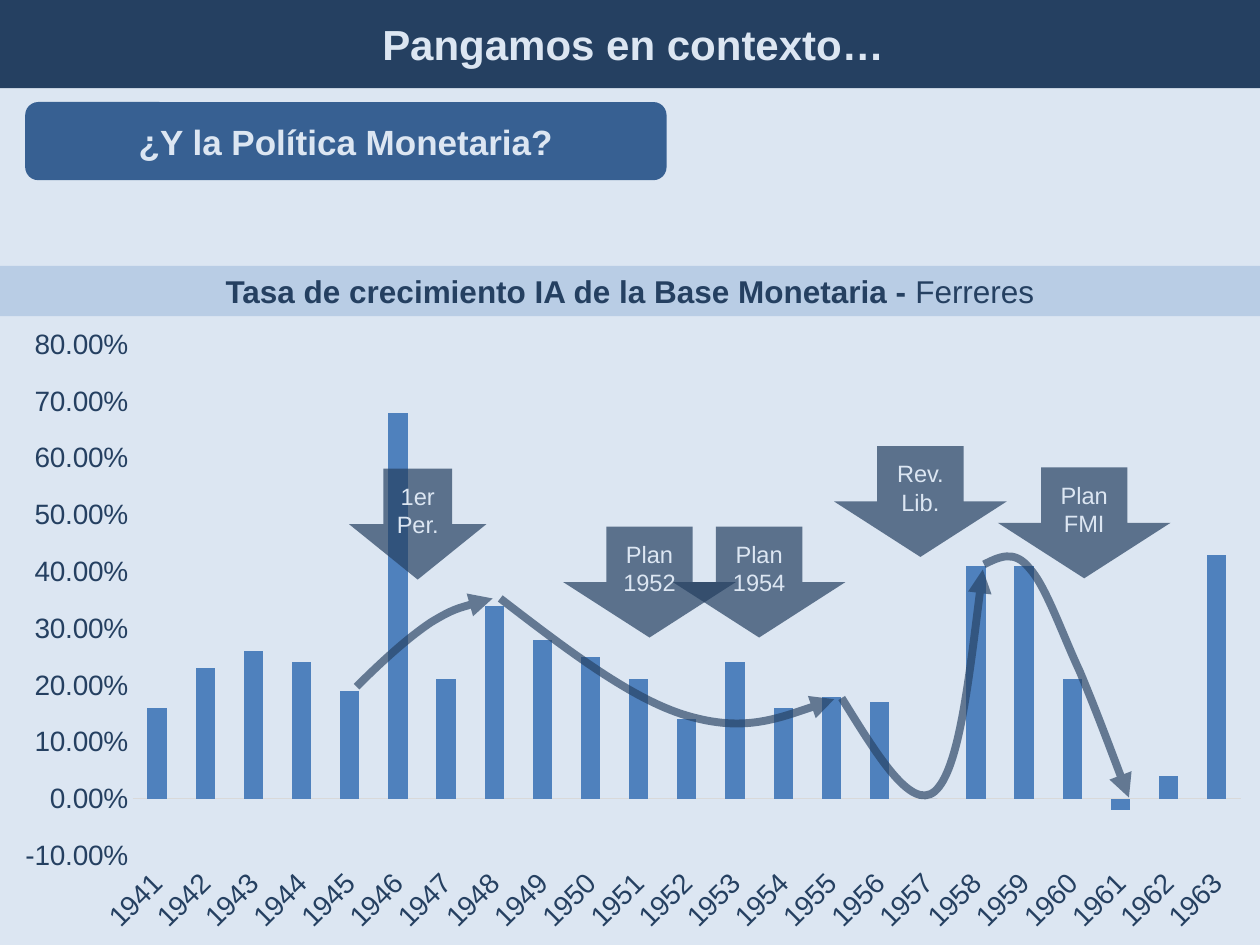
from lxml import etree
from pptx import Presentation
from pptx.chart.data import CategoryChartData
from pptx.dml.color import RGBColor
from pptx.enum.chart import XL_CHART_TYPE, XL_TICK_LABEL_POSITION as LabelPos, XL_TICK_MARK
from pptx.enum.shapes import MSO_SHAPE as Shape
from pptx.enum.text import MSO_ANCHOR, MSO_AUTO_SIZE, PP_ALIGN
from pptx.oxml import parse_xml
from pptx.oxml.ns import nsdecls, qn
from pptx.util import Inches, Pt

NAVY, BLUE, BAR = "254061", "376092", "4F81BD"
PALE, BAND, RULE = "DCE6F2", "B9CDE5", "D9D9D9"
FONT = "Arial"
ARROW_H = 0.88
AUTO_ROTATION = -60000000

FIRST_YEAR = 1941
GROWTH = [0.16, 0.23, 0.26, 0.24, 0.19, 0.68, 0.21, 0.34, 0.28, 0.25, 0.21, 0.14,
          0.24, 0.16, 0.18, 0.17, 0, 0.41, 0.41, 0.21, -0.02, 0.04, 0.43]

# Label, left, top, width
EVENTS = [
    ("1er Per.", 2.77, 3.72, 1.09),
    ("Plan 1952", 4.47, 4.18, 1.37),
    ("Plan 1954", 5.34, 4.18, 1.37),
    ("Rev. Lib.", 6.62, 3.54, 1.37),
    ("Plan FMI", 7.92, 3.71, 1.37),
]

# Hundredths of an inch: start point, then three Bézier points per segment
TRENDS = [
    [(397, 475), (449, 515), (501, 555), (545, 568),
     (589, 581), (626, 568), (662, 555)],
    [(283, 545), (303, 525), (324, 506), (342, 494),
     (360, 483), (376, 479), (391, 475)],
    [(668, 554), (696, 599), (723, 644), (742, 628),
     (761, 611), (770, 531), (780, 452)],
    [(781, 448), (793, 442), (805, 436), (817, 451), (830, 465),
     (843, 503), (857, 533), (870, 564), (883, 599), (896, 633)],
]


def rgb(code):
    return RGBColor.from_string(code)


def set_alpha(element, percent):
    color = next(element.iter(qn("a:srgbClr")))
    etree.SubElement(color, qn("a:alpha")).set("val", str(percent * 1000))


def style_font(font, size, color, bold=False):
    font.name, font.size, font.bold = FONT, Pt(size), bold
    font.color.rgb = rgb(color)


def add_box(s, kind, box, fill, text, size, color=PALE, bold=True):
    sp = s.shapes.add_shape(kind, *map(Inches, box))
    sp.shadow.inherit = False
    sp.fill.solid()
    sp.fill.fore_color.rgb = rgb(fill)
    sp.line.fill.background()
    tf = sp.text_frame
    tf.word_wrap = True
    tf.vertical_anchor = MSO_ANCHOR.MIDDLE
    tf.text = text
    p = tf.paragraphs[0]
    p.alignment = PP_ALIGN.CENTER
    style_font(p.runs[0].font, size, color, bold)
    return sp


def add_event(s, label, left, top, width):
    sp = add_box(s, Shape.DOWN_ARROW, (left, top, width, ARROW_H), NAVY, label, 13.5, bold=False)
    sp.text_frame.margin_left = sp.text_frame.margin_right = 0
    set_alpha(sp.fill.fore_color._xFill, 70)


def add_trend(s, points):
    """Draw a translucent Bézier curve that ends in an arrowhead."""
    start, *rest = points
    builder = s.shapes.build_freeform(*start, scale=Inches(0.01))
    builder.add_line_segments(rest, close=False)
    sp = builder.convert_to_shape()
    sp.shadow.inherit = False
    sp.fill.background()
    sp.line.color.rgb = rgb(NAVY)
    sp.line.width = Pt(4.5)
    ln = sp.line._get_or_add_ln()
    set_alpha(ln, 66)
    etree.SubElement(ln, qn("a:tailEnd")).set("type", "triangle")
    outline = next(sp._element.iter(qn("a:path")))
    lines = outline.findall(qn("a:lnTo"))
    for i in range(0, len(lines), 3):
        curve = etree.SubElement(outline, qn("a:cubicBezTo"))
        for line in lines[i:i + 3]:
            curve.append(line[0])
            outline.remove(line)


def set_plot_area(chart, x, y, w, h):
    """Place the inner plot area, in shares of the chart's size."""
    area = chart._chartSpace.chart.plotArea
    for old in area.findall(qn("c:layout")):
        area.remove(old)
    shares = "".join(f'<c:{k} val="{v}"/>' for k, v in zip("xywh", (x, y, w, h)))
    area.insert(0, parse_xml(
        f'<c:layout {nsdecls("c")}><c:manualLayout><c:layoutTarget val="inner"/>'
        f'<c:xMode val="edge"/><c:yMode val="edge"/>{shares}'
        '</c:manualLayout></c:layout>'))


def add_growth_chart(s, box):
    data = CategoryChartData(number_format="0.00%")
    data.categories = [str(FIRST_YEAR + i) for i in range(len(GROWTH))]
    data.add_series("Series 1", GROWTH)
    chart = s.shapes.add_chart(XL_CHART_TYPE.COLUMN_CLUSTERED, *map(Inches, box), data).chart
    chart.has_legend = chart.has_title = False
    style_font(chart.font, 16, NAVY)
    set_plot_area(chart, 0.105, 0.045, 0.875, 0.813)

    plot = chart.plots[0]
    plot.gap_width = 150
    plot.vary_by_categories = False
    fill = plot.series[0].format.fill
    fill.solid()
    fill.fore_color.rgb = rgb(BAR)

    years, rates = chart.category_axis, chart.value_axis
    for axis in (years, rates):
        axis.major_tick_mark = axis.minor_tick_mark = XL_TICK_MARK.NONE
        axis.has_major_gridlines = False
        style_font(axis.tick_labels.font, 16, NAVY)
    years.tick_label_position = LabelPos.LOW
    years.format.line.color.rgb = rgb(RULE)
    years.format.line.width = Pt(0.75)
    next(years._element.iter(qn("a:bodyPr"))).set("rot", str(AUTO_ROTATION))
    rates.minimum_scale, rates.maximum_scale, rates.major_unit = -0.1, 0.8, 0.1
    rates.tick_labels.number_format = "0.00%"
    rates.tick_labels.number_format_is_linked = False
    rates.format.line.fill.background()


def add_chart_heading(s):
    sp = add_box(s, Shape.RECTANGLE, (0, 2.11, 10, 0.4), BAND,
                 "Tasa de crecimiento IA de la Base Monetaria - ", 18, NAVY)
    sp.text_frame.auto_size = MSO_AUTO_SIZE.SHAPE_TO_FIT_TEXT
    r = sp.text_frame.paragraphs[0].add_run()
    r.text = "Ferreres"
    style_font(r.font, 18, NAVY)


def main():
    prs = Presentation()
    prs.slide_width, prs.slide_height = Inches(10), Inches(7.5)
    s = prs.slides.add_slide(prs.slide_layouts[6])
    s.background.fill.solid()
    s.background.fill.fore_color.rgb = rgb(PALE)

    add_growth_chart(s, (0, 2.51, 10.05, 4.99))
    add_chart_heading(s)
    add_box(s, Shape.ROUNDED_RECTANGLE, (0.2, 0.81, 5.09, 0.62), BLUE,
            "¿Y la Política Monetaria?", 20)
    for points in TRENDS:
        add_trend(s, points)
    for event in EVENTS:
        add_event(s, *event)
    title = add_box(s, Shape.ROUNDED_RECTANGLE, (0, 0, 10.05, 0.7), NAVY,
                    "Pangamos en contexto…", 24)
    title.adjustments[0] = 0
    prs.save("out.pptx")


if __name__ == "__main__":
    main()
